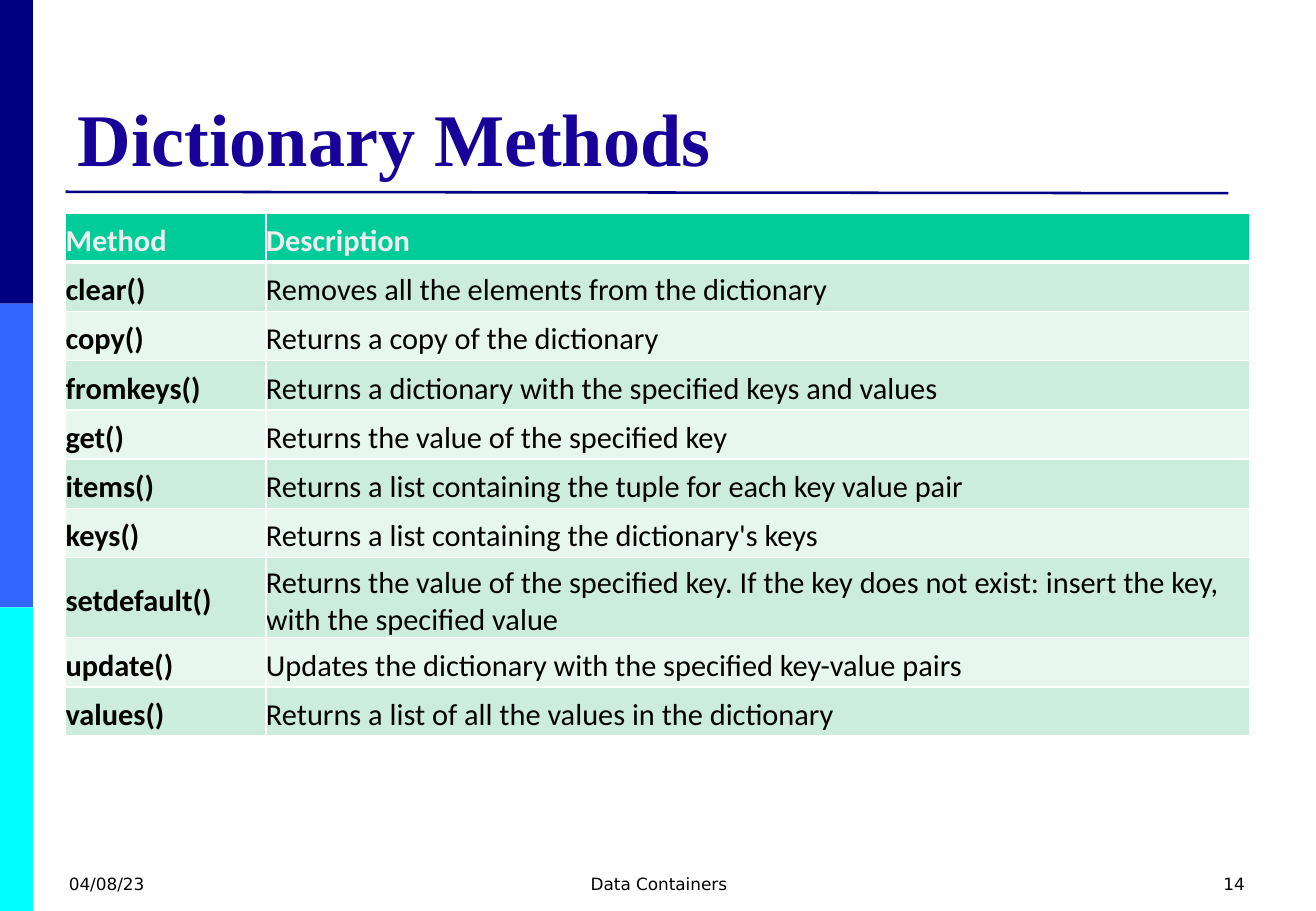
from lxml import etree
from pptx import Presentation
from pptx.dml.color import RGBColor
from pptx.enum.shapes import MSO_CONNECTOR, MSO_SHAPE
from pptx.enum.text import MSO_ANCHOR as Anchor, PP_ALIGN as Align
from pptx.oxml.ns import qn
from pptx.util import Cm, Pt

NAVY = RGBColor(0x00, 0x00, 0x80)
BLUE = RGBColor(0x33, 0x66, 0xFF)
CYAN = RGBColor(0x00, 0xFF, 0xFF)
TITLE_BLUE = RGBColor(0x17, 0x01, 0x99)
GREEN = RGBColor(0x00, 0xCC, 0x99)
MINT = RGBColor(0xCC, 0xEC, 0xDE)
PALE_MINT = RGBColor(0xE7, 0xF6, 0xEF)
LIGHT_GREY = RGBColor(0xEE, 0xEE, 0xEE)
WHITE = RGBColor(0xFF, 0xFF, 0xFF)
BLACK = RGBColor(0x00, 0x00, 0x00)

METHODS = [
    ("Method", "Description"),
    ("clear()", "Removes all the elements from the dictionary"),
    ("copy()", "Returns a copy of the dictionary"),
    ("fromkeys()", "Returns a dictionary with the specified keys and values"),
    ("get()", "Returns the value of the specified key"),
    ("items()", "Returns a list containing the tuple for each key value pair"),
    ("keys()", "Returns a list containing the dictionary's keys"),
    ("setdefault()", "Returns the value of the specified key. If the key does not "
                     "exist: insert the key, with the specified value"),
    ("update()", "Updates the dictionary with the specified key-value pairs"),
    ("values()", "Returns a list of all the values in the dictionary"),
]


class SlideBuilder:
    title_font = "Times New Roman"
    table_font = "Calibri"
    footer_font = "DejaVu Sans"

    def __init__(self, slide):
        self.slide = slide

    def style(self, paragraph, font_name, size, color, bold=False):
        font = paragraph.font
        font.name, font.size, font.bold = font_name, Pt(size), bold
        font.color.rgb = color

    def bar(self, left, top, width, height, color):
        shape = self.slide.shapes.add_shape(
            MSO_SHAPE.RECTANGLE, Cm(left), Cm(top), Cm(width), Cm(height))
        shape.shadow.inherit = False
        shape.fill.solid()
        shape.fill.fore_color.rgb = color
        shape.line.fill.background()

    def rule(self, x1, y1, x2, y2, color, width):
        line = self.slide.shapes.add_connector(
            MSO_CONNECTOR.STRAIGHT, Cm(x1), Cm(y1), Cm(x2), Cm(y2))
        line.line.color.rgb = color
        line.line.width = Pt(width)
        etree.SubElement(line._element.spPr, qn("a:effectLst"))

    def text(self, words, left, top, width, height, font_name, size, color,
             bold=False, align=Align.LEFT, anchor=Anchor.TOP):
        box = self.slide.shapes.add_textbox(Cm(left), Cm(top), Cm(width), Cm(height))
        frame = box.text_frame
        frame.word_wrap = True
        frame.vertical_anchor = anchor
        paragraph = frame.paragraphs[0]
        paragraph.text = words
        paragraph.alignment = align
        self.style(paragraph, font_name, size, color, bold)

    def borders(self, cell, color, **widths):
        """Draw the cell's edges; widths are points keyed L, R, T, B in that order."""
        properties = cell._tc.get_or_add_tcPr()
        for side, width in widths.items():
            line = etree.SubElement(properties, qn(f"a:ln{side}"), w=str(Pt(width)))
            fill = etree.SubElement(line, qn("a:solidFill"))
            etree.SubElement(fill, qn("a:srgbClr"), val=str(color))

    def cell(self, cell, words, row, bold):
        # A thick line parts the header from the body.
        self.borders(cell, WHITE, L=1, R=1, T=3 if row == 1 else 1, B=3 if row == 0 else 1)
        cell.fill.solid()
        cell.fill.fore_color.rgb = GREEN if row == 0 else MINT if row % 2 else PALE_MINT
        cell.vertical_anchor = Anchor.MIDDLE
        cell.margin_left = cell.margin_bottom = 0
        cell.margin_top = cell.margin_right = Cm(0.15)
        paragraph = cell.text_frame.paragraphs[0]
        paragraph.text = words
        self.style(paragraph, self.table_font, 18, BLACK if row else LIGHT_GREY, bold)

    def table(self, rows, left, top, column_widths, row_height):
        table = self.slide.shapes.add_table(
            len(rows), len(column_widths), Cm(left), Cm(top),
            Cm(sum(column_widths)), Cm(row_height * len(rows))).table
        for column, width in zip(table.columns, column_widths):
            column.width = Cm(width)
        for row, texts in enumerate(rows):
            table.rows[row].height = Cm(row_height)
            for column, words in enumerate(texts):
                self.cell(table.cell(row, column), words, row,
                          bold=row == 0 or column == 0)


def main():
    presentation = Presentation()
    presentation.slide_width, presentation.slide_height = Cm(27.51), Cm(19.05)
    slide = presentation.slides.add_slide(presentation.slide_layouts[6])
    builder = SlideBuilder(slide)

    bar_height = 19.05 / 3
    for index, color in enumerate((NAVY, BLUE, CYAN)):
        builder.bar(0, index * bar_height, 0.69, bar_height, color)
    builder.rule(1.37, 4.01, 25.68, 4.04, NAVY, 1.5)

    builder.text("Dictionary Methods", 1.37, 0.76, 24.77, 3.15, builder.title_font,
                 44, TITLE_BLUE, bold=True, anchor=Anchor.BOTTOM)
    builder.table(METHODS, 1.37, 4.45, (4.19, 20.57), 1.03)

    for words, left, width, align in (
            ("04/08/23", 1.19, 6.43, Align.LEFT),
            ("Data Containers", 9.42, 8.71, Align.CENTER),
            ("14", 19.84, 6.43, Align.RIGHT)):
        builder.text(words, left, 18.14, width, 0.91, builder.footer_font,
                     10, BLACK, align=align)

    presentation.save("out.pptx")


if __name__ == "__main__":
    main()
